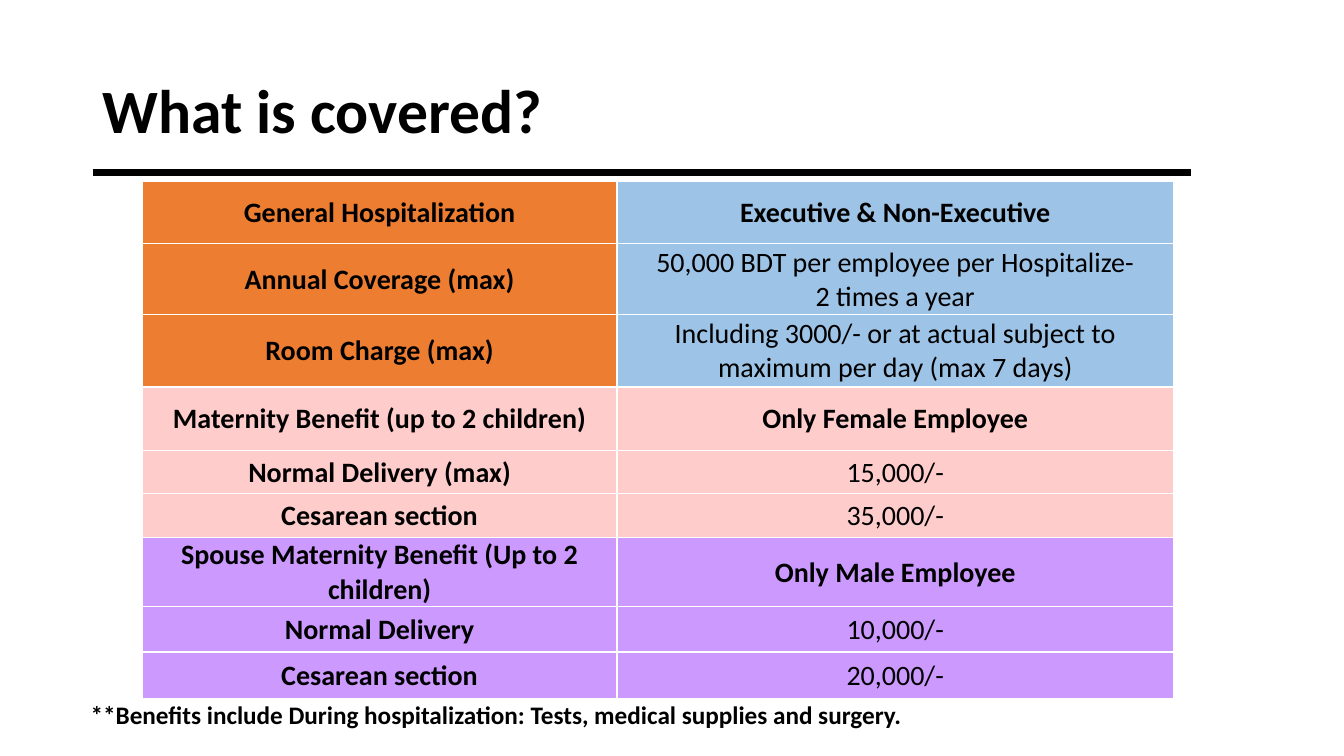
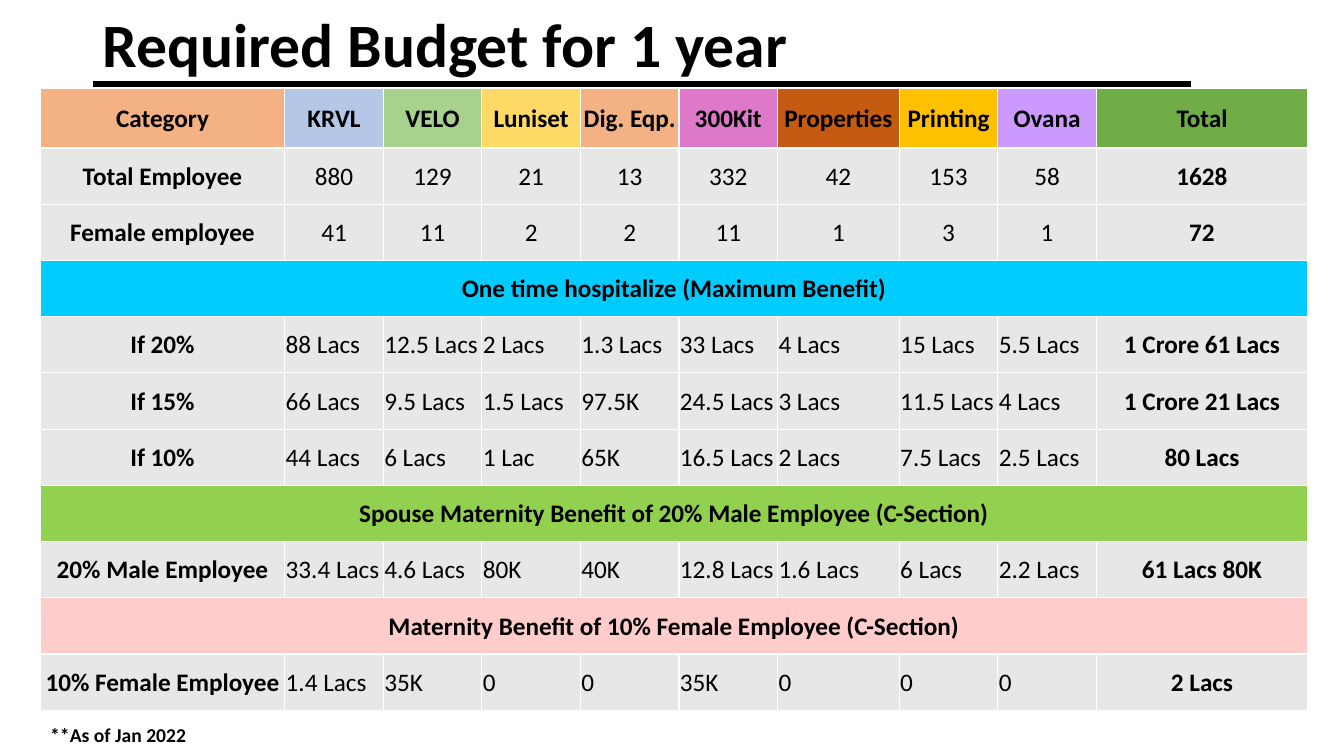
from lxml import etree
from pptx import Presentation
from pptx import util as u
from pptx.dml.color import RGBColor
from pptx.enum import shapes, text
from pptx.oxml import ns

FONT = "Calibri"
COLORS = {
    "black": "000000", "white": "FFFFFF", "gray": "E7E7E7",
    "orange": "ED7D31", "sky": "9DC3E6", "pink": "FFCCCC", "violet": "CC99FF",
    "peach": "F4B183", "steel": "B4C7E7", "sage": "A9D18E", "yellow": "FFD966",
    "orchid": "DE78C8", "rust": "C55A11", "gold": "FFC000", "green": "70AD47",
    "cyan": "00CCFF", "lime": "92D050",
}
CENTER, LEFT = text.PP_ALIGN.CENTER, text.PP_ALIGN.LEFT
MIDDLE, TOP = text.MSO_ANCHOR.MIDDLE, text.MSO_ANCHOR.TOP

prs = Presentation()
prs.slide_width, prs.slide_height = u.Inches(13.33), u.Inches(7.5)


def rgb(name):
    return RGBColor.from_string(COLORS[name])


def place(x, y, w, h):
    """Turn percentages of the slide into lengths."""
    sw, sh = prs.slide_width, prs.slide_height
    return [u.Emu(round(n * side / 100)) for n, side in zip((x, y, w, h), (sw, sh, sw, sh))]


def split(total, weights):
    """Divide a length in proportion to the weights."""
    return [u.Emu(round(total * n / sum(weights))) for n in weights]


def write(tf, content, size=18, bold=True, color="black", align=LEFT, spacing=1.0):
    tf.word_wrap = True
    for i, line in enumerate(content.split("\n")):
        p = tf.paragraphs[0] if i == 0 else tf.add_paragraph()
        p.alignment, p.line_spacing = align, spacing
        r = p.add_run()
        r.text = line
        r.font.name, r.font.size, r.font.bold = FONT, u.Pt(size), bold
        r.font.color.rgb = rgb(color)


def text_box(slide, box, content, anchor=TOP, **fmt):
    tf = slide.shapes.add_textbox(*place(*box)).text_frame
    tf.vertical_anchor = anchor
    write(tf, content, **fmt)


def header(slide, title, middle, rule):
    """Title centred on one height, with a heavy rule at another."""
    text_box(slide, (6.9, middle - 6, 86.25, 12), title, MIDDLE, size=44, spacing=0.9)
    x, y, w, _ = place(6.9, rule, 81.75, 0)
    line = slide.shapes.add_connector(shapes.MSO_CONNECTOR.STRAIGHT, x, y, x + w, y)
    line.line.color.rgb, line.line.width = rgb("black"), u.Pt(4.5)
    etree.SubElement(line._element.spPr, ns.qn("a:effectLst"))


def add_grid(slide, box, cols, rows):
    x, y, w, h = place(*box)
    tbl = slide.shapes.add_table(len(rows), len(cols), x, y, w, h).table
    tbl.first_row = tbl.horz_banding = False
    for col, width in zip(tbl.columns, split(w, cols)):
        col.width = width
    for row, height in zip(tbl.rows, split(h, rows)):
        row.height = height
    return tbl


def fill_cell(cell, content, fill, **fmt):
    cell.margin_left = cell.margin_right = cell.margin_top = u.Inches(0.01)
    cell.margin_bottom = 0
    cell.vertical_anchor = MIDDLE
    tcPr = cell._tc.get_or_add_tcPr()
    for side in ("lnL", "lnR", "lnT", "lnB"):
        ln = etree.SubElement(tcPr, ns.qn(f"a:{side}"), w=str(u.Pt(1)))
        solid = etree.SubElement(ln, ns.qn("a:solidFill"))
        etree.SubElement(solid, ns.qn("a:srgbClr"), val=COLORS["white"])
    cell.fill.solid()
    cell.fill.fore_color.rgb = rgb(fill)
    write(cell.text_frame, content, **fmt)


def coverage_table(slide, box):
    # Each group: label fill, value fill, rows with the heading first
    groups = [
        ("orange", "sky", [
            ("General Hospitalization", "Executive & Non-Executive"),
            ("Annual Coverage (max)",
             "50,000 BDT per employee per Hospitalize-\n2 times a year"),
            ("Room Charge (max)",
             "Including 3000/- or at actual subject to maximum per day (max 7 days)")]),
        ("pink", "pink", [
            ("Maternity Benefit (up to 2 children)", "Only Female Employee"),
            ("Normal Delivery (max)", "15,000/-"),
            ("Cesarean section", "35,000/-")]),
        ("violet", "violet", [
            ("Spouse Maternity Benefit (Up to 2 children)", "Only Male Employee"),
            ("Normal Delivery", "10,000/-"),
            ("Cesarean section", "20,000/-")]),
    ]
    tbl = add_grid(slide, box, [4.71, 5.52],
                   [0.62, 0.7, 0.72, 0.63, 0.43, 0.43, 0.69, 0.45, 0.46])
    row = 0
    for label_fill, value_fill, lines in groups:
        for i, (label, value) in enumerate(lines):
            fill_cell(tbl.cell(row, 0), label, label_fill, size=20, align=CENTER)
            fill_cell(tbl.cell(row, 1), value, value_fill, size=20, align=CENTER, bold=i == 0)
            row += 1


def budget_table(slide, box):
    heads = [("Category", "peach"), ("KRVL", "steel"), ("VELO", "sage"),
             ("Luniset", "yellow"), ("Dig. Eqp.", "peach"), ("300Kit", "orchid"),
             ("Properties", "rust"), ("Printing", "gold"), ("Ovana", "violet"),
             ("Total", "green")]
    # A row is either a list of cells or a (band text, fill) pair
    body = [
        ["Total Employee", "880", "129", "21", "13", "332", "42", "153", "58", "1628"],
        ["Female employee", "41", "11", "2", "2", "11", "1", "3", "1", "72"],
        ("One time hospitalize (Maximum Benefit)", "cyan"),
        ["If 20%", "88 Lacs", "12.5 Lacs", "2 Lacs", "1.3 Lacs", "33 Lacs", "4 Lacs",
         "15 Lacs", "5.5 Lacs", "1 Crore 61 Lacs"],
        ["If 15%", "66 Lacs", "9.5 Lacs", "1.5 Lacs", "97.5K", "24.5 Lacs", "3 Lacs",
         "11.5 Lacs", "4 Lacs", "1 Crore 21 Lacs"],
        ["If 10%", "44 Lacs", "6 Lacs", "1 Lac", "65K", "16.5 Lacs", "2 Lacs",
         "7.5 Lacs", "2.5 Lacs", "80 Lacs"],
        ("Spouse Maternity Benefit of 20% Male Employee (C-Section)", "lime"),
        ["20% Male Employee", "33.4 Lacs", "4.6 Lacs", "80K", "40K", "12.8 Lacs",
         "1.6 Lacs", "6 Lacs", "2.2 Lacs", "61 Lacs 80K"],
        ("Maternity Benefit of 10% Female Employee (C-Section)", "pink"),
        ["10% Female Employee", "1.4 Lacs", "35K", "0", "0", "35K", "0", "0", "0", "2 Lacs"],
    ]
    last = len(heads) - 1
    tbl = add_grid(slide, box, [2.43] + [0.98] * 5 + [1.21] + [0.98] * 2 + [2.1],
                   [0.59] + [0.56] * len(body))
    for col, (name, fill) in enumerate(heads):
        fill_cell(tbl.cell(0, col), name, fill, align=CENTER)
    is_count = True  # head counts, above the first band, are centred
    for row, line in enumerate(body, 1):
        if isinstance(line, tuple):
            is_count = False
            tbl.cell(row, 0).merge(tbl.cell(row, last))
            fill_cell(tbl.cell(row, 0), *line, align=CENTER)
            continue
        for col, value in enumerate(line):
            edge = col in (0, last)
            fill_cell(tbl.cell(row, col), value, "gray", bold=edge,
                      align=CENTER if edge or is_count else LEFT)


def coverage_slide(slide):
    header(slide, "What is covered?", middle=15, rule=22.8)
    coverage_table(slide, (10.58, 24, 76.74, 68.4))
    text_box(slide, (6, 91.87, 88.5, 5.33),
             "**Benefits include During hospitalization: Tests, medical supplies and surgery.")


def budget_slide(slide):
    header(slide, "Required Budget for 1 year", middle=6.33, rule=11.07)
    budget_table(slide, (3, 11.73, 94.3, 82.27))
    text_box(slide, (3, 94.93, 40.73, 4.53), "**As of Jan 2022", size=14)


def main():
    for build in (coverage_slide, budget_slide):
        build(prs.slides.add_slide(prs.slide_layouts[6]))
    prs.save("out.pptx")


if __name__ == "__main__":
    main()
